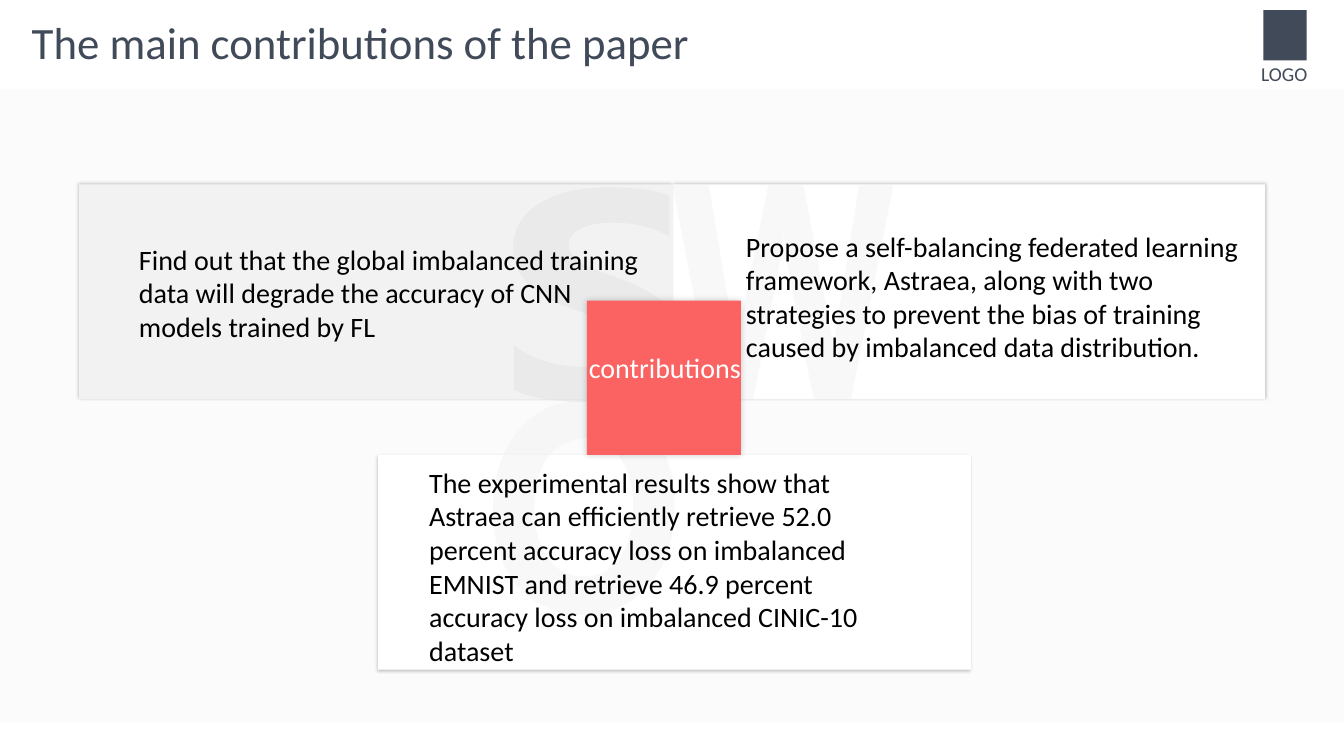
import lxml.etree
import pptx
import pptx.dml.color
import pptx.enum.shapes
import pptx.enum.text
import pptx.oxml.ns
import pptx.util

THEME = {
    "font": "Calibri",
    "slate": "414A59",
    "white": "FFFFFF",
    "black": "000000",
    "pale": "F2F2F2",
    "gray": "D9D9D9",
    "coral": "FB6362",
    "title": 32,
    "body": 20,
    "logo": 14,
}
COLUMNS, ROWS = 1333, 750

presentation = pptx.Presentation()
presentation.slide_width = pptx.util.Inches(13.33)
presentation.slide_height = pptx.util.Inches(7.5)
column = presentation.slide_width // COLUMNS
row = presentation.slide_height // ROWS
slide = presentation.slides.add_slide(presentation.slide_layouts[6])
name = pptx.oxml.ns.qn


def place(box):
    left, top, width, height = box
    return round(left * column), round(top * row), round(width * column), round(height * row)


def draw_letter(contours):
    builder = None
    commands = []
    for start, *segments in contours:
        corner = (start[0] * column, start[1] * row)
        if builder is None:
            builder = slide.shapes.build_freeform(*corner)
        else:
            builder.move_to(*corner)
        points = [(segment[i] * column, segment[i + 1] * row)
                  for segment in segments for i in range(0, len(segment), 2)]
        builder.add_line_segments(points)
        commands += [len(segment) // 2 for segment in segments]
    letter = builder.convert_to_shape()
    lines = letter.element.spPr.findall(".//" + name("a:lnTo"))
    for count in commands:
        step, lines = lines[:count], lines[count:]
        if count == 3:
            curve = lxml.etree.Element(name("a:cubicBezTo"))
            step[0].addprevious(curve)
            for line in step:
                curve.append(line[0])
                line.getparent().remove(line)
    return letter


letter_o = [
    [(580, 435), (564, 435, 552, 442, 543, 454), (534, 467, 530, 484, 530, 504),
     (530, 524, 534, 540, 543, 553), (552, 566, 564, 572, 579, 572),
     (594, 572, 606, 566, 615, 554), (623, 541, 628, 525, 628, 505),
     (628, 483, 624, 466, 615, 454), (607, 441, 595, 435, 580, 435)],
    [(581, 397), (607, 397, 629, 407, 645, 427), (661, 446, 669, 471, 669, 502),
     (669, 534, 661, 560, 644, 580), (627, 600, 605, 610, 578, 610),
     (552, 610, 530, 600, 513, 581), (497, 562, 489, 537, 489, 506),
     (489, 474, 497, 448, 514, 428), (531, 407, 553, 397, 581, 397)],
]
letter_w = [
    [(667, 184), (703, 184), (727, 328), (728, 334, 728, 342, 729, 352), (729, 352),
     (730, 344, 731, 336, 733, 327), (762, 184), (797, 184), (824, 329),
     (825, 335, 826, 342, 826, 351), (827, 351), (827, 343, 828, 336, 829, 328),
     (852, 184), (886, 184), (844, 396), (807, 396), (780, 258),
     (779, 250, 778, 243, 778, 234), (777, 234), (777, 244, 776, 252, 774, 258),
     (747, 396), (708, 396)],
]
letter_s = [
    [(604, 186), (628, 186, 648, 188, 664, 194), (664, 235),
     (648, 225, 628, 221, 606, 221), (594, 221, 583, 223, 576, 227),
     (568, 231, 564, 236, 564, 242), (564, 248, 567, 253, 572, 257),
     (577, 262, 590, 268, 611, 275), (635, 284, 652, 293, 661, 303),
     (670, 313, 675, 324, 675, 338), (675, 358, 666, 373, 650, 383),
     (633, 393, 610, 399, 579, 399), (551, 399, 528, 395, 510, 387), (510, 343),
     (530, 357, 552, 364, 577, 364), (591, 364, 602, 362, 609, 358),
     (616, 353, 620, 348, 620, 342), (620, 336, 617, 331, 611, 326),
     (606, 321, 591, 314, 566, 306), (528, 292, 509, 272, 509, 246),
     (509, 227, 518, 212, 535, 202), (552, 191, 575, 186, 604, 186)],
]

panel_width, panel_height = 588, 213
panel_left, panel_top = 78.5, 183
panel_right = panel_left + panel_width
hub_size = 153
hub_top = 298.4
bottom_top = hub_top + hub_size

blocks = [
    ((0, 89, COLUMNS, 628), "pale", 30, None),
    ((1253, 10, 43, 50), "slate", 100, None),
    ((375, bottom_top, panel_width, panel_height), "white", 100, (2, 1, 135)),
    (letter_o, "pale", 50, None),
    ((panel_right, panel_top, panel_width, panel_height), "white", 100, (2, 1, 315)),
    (letter_w, "pale", 50, None),
    ((panel_left, panel_top, panel_width, panel_height), "pale", 100, (2, 1, 225)),
    (letter_s, "gray", 30, None),
    ((582, hub_top, hub_size, hub_size), "coral", 100, (5, 0, 0)),
]
for outline, color, opacity, shadow in blocks:
    if isinstance(outline, list):
        shape = draw_letter(outline)
    else:
        shape = slide.shapes.add_shape(
            pptx.enum.shapes.MSO_SHAPE.RECTANGLE, *place(outline))
    shape.fill.solid()
    shape.fill.fore_color.rgb = pptx.dml.color.RGBColor.from_string(THEME[color])
    shape.line.fill.background()
    shape.shadow.inherit = False
    properties = shape.element.spPr
    if opacity < 100:
        fill_color = properties.find(name("a:solidFill"))[0]
        lxml.etree.SubElement(fill_color, name("a:alpha"), val=str(opacity * 1000))
    if shadow:
        blur, distance, angle = shadow
        outer = lxml.etree.SubElement(
            properties.find(name("a:effectLst")), name("a:outerShdw"),
            blurRad=str(pptx.util.Pt(blur)), dist=str(pptx.util.Pt(distance)),
            dir=str(angle * 60000), algn="ctr", rotWithShape="0")
        shadow_color = lxml.etree.SubElement(outer, name("a:srgbClr"), val=THEME["black"])
        lxml.etree.SubElement(shadow_color, name("a:alpha"), val="20000")

LEFT, CENTER = pptx.enum.text.PP_ALIGN.LEFT, pptx.enum.text.PP_ALIGN.CENTER
texts = [
    ("LOGO", (1241, 57, 66, 34), "logo", "slate", False, LEFT),
    ("The main contributions of the paper", (21.6, 9.4, 711, 64), "title", "slate", True, LEFT),
    ("contributions", (573, 343, 173, 44), "body", "white", False, CENTER),
    ("Propose a self-balancing federated learning framework, Astraea, along with two "
     "strategies to prevent the bias of training caused by imbalanced data distribution.",
     (730, 222.4, 521, 145), "body", "black", True, LEFT),
    ("Find out that the global imbalanced training data will degrade the accuracy of CNN "
     "models trained by FL", (128, 235.4, 525, 111), "body", "black", True, LEFT),
    ("The experimental results show that Astraea can efﬁciently retrieve 52.0 percent "
     "accuracy loss on imbalanced EMNIST and retrieve 46.9 percent accuracy loss on "
     "imbalanced CINIC-10 dataset", (415.8, 456.7, 474, 212), "body", "black", True, LEFT),
]
for text, box, size, color, wrap, alignment in texts:
    text_frame = slide.shapes.add_textbox(*place(box)).text_frame
    text_frame.text = text
    text_frame.word_wrap = wrap
    text_frame.auto_size = pptx.enum.text.MSO_AUTO_SIZE.SHAPE_TO_FIT_TEXT
    paragraph = text_frame.paragraphs[0]
    paragraph.alignment = alignment
    font = paragraph.runs[0].font
    font.name = THEME["font"]
    font.size = pptx.util.Pt(THEME[size])
    font.color.rgb = pptx.dml.color.RGBColor.from_string(THEME[color])

presentation.save("out.pptx")
